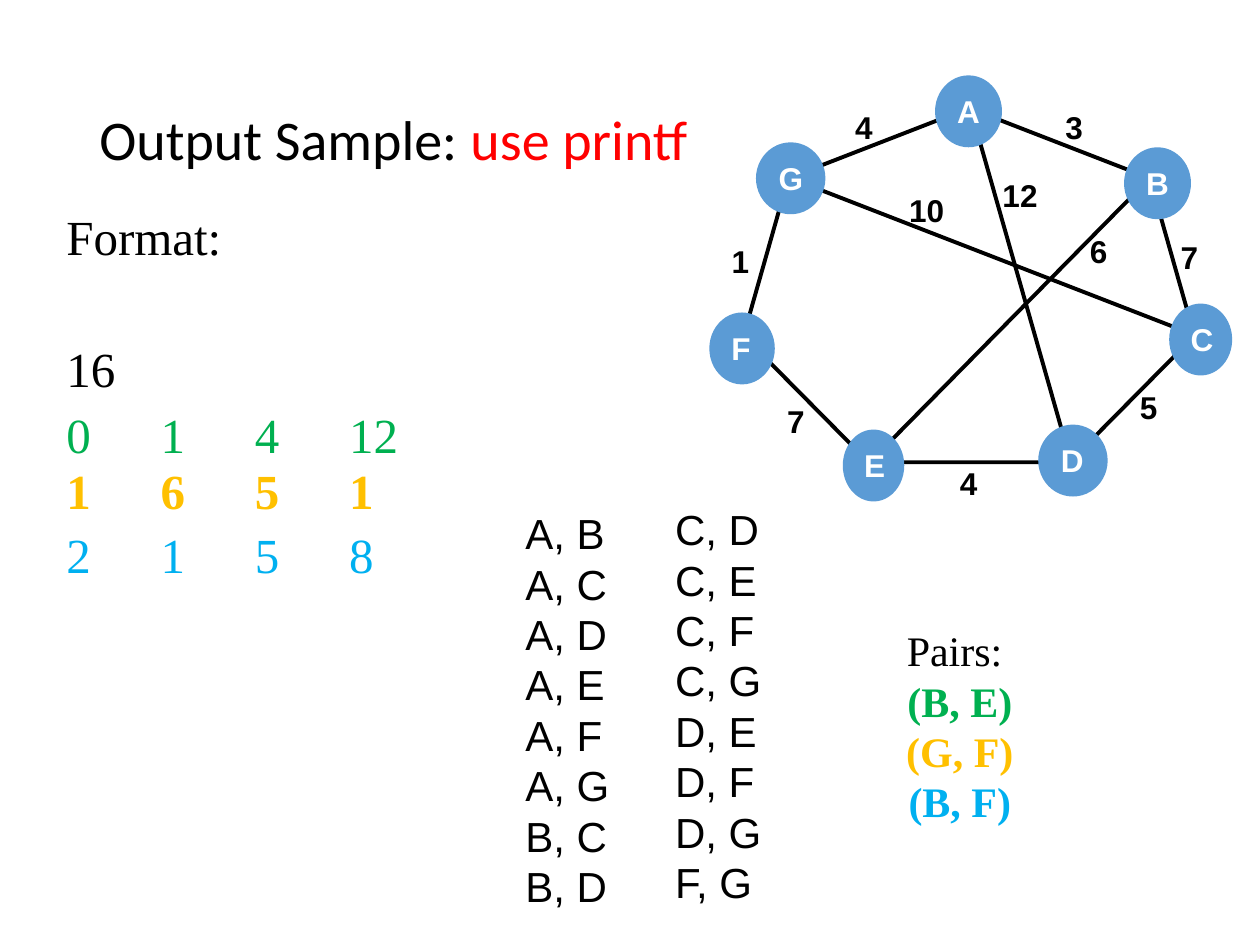
from lxml import etree
from pptx import Presentation
from pptx.dml.color import RGBColor
from pptx.enum.shapes import MSO_CONNECTOR, MSO_SHAPE
from pptx.enum.text import MSO_ANCHOR, PP_ALIGN
from pptx.oxml.ns import qn
from pptx.util import Cm, Pt

LEFT, CENTER = PP_ALIGN.LEFT, PP_ALIGN.CENTER
TOP, MIDDLE = MSO_ANCHOR.TOP, MSO_ANCHOR.MIDDLE
STRAIGHT = MSO_CONNECTOR.STRAIGHT
HEPTAGON, OVAL = MSO_SHAPE.HEPTAGON, MSO_SHAPE.OVAL

BLACK = RGBColor(0x00, 0x00, 0x00)
WHITE = RGBColor(0xFF, 0xFF, 0xFF)
RED = RGBColor(0xFF, 0x00, 0x00)
GREEN = RGBColor(0x00, 0xB0, 0x50)
GOLD = RGBColor(0xFF, 0xC0, 0x00)
SKY = RGBColor(0x00, 0xB0, 0xF0)
BLUE = RGBColor(0x5B, 0x9B, 0xD5)


def add_text(para, text, font="Arial", size=18, color=BLACK, bold=False, align=LEFT):
    para.alignment = align
    span = para.add_run()
    span.text = text
    span.font.name = font
    span.font.size = Pt(size)
    span.font.color.rgb = color
    span.font.bold = bold


def add_box(shapes, left, top, width, height, wrap=True):
    frame = shapes.add_textbox(Cm(left), Cm(top), Cm(width), Cm(height)).text_frame
    frame.word_wrap = wrap
    return frame


deck = Presentation()
deck.slide_width, deck.slide_height = Cm(25.4), Cm(19.05)
page = deck.slides.add_slide(deck.slide_layouts[5])

title = page.shapes.title
title.left, title.top, title.width, title.height = Cm(1.75), Cm(1.02), Cm(21.89), Cm(3.68)
title.text_frame.vertical_anchor = MIDDLE
heading = title.text_frame.paragraphs[0]
heading.line_spacing = 0.9
add_text(heading, "Output Sample: ", font="Calibri", size=32)
add_text(heading, "use printf", font="Calibri", size=32, color=RED)

format_lines = [
    ("Format:", BLACK, False, 0.9, 7.5),
    ("16", BLACK, False, 0.9, 45),
    ("0\t1\t4\t12", GREEN, False, 0.9, 7.5),
    ("1\t6\t5\t1", GOLD, True, 0.7, 7.5),
    ("2\t1\t5\t8", SKY, False, 0.9, 7.5),
]
frame = add_box(page.shapes, 1.09, 4.17, 23.6, 14.88)
for index, (text, color, bold, spacing, before) in enumerate(format_lines):
    para = frame.add_paragraph() if index else frame.paragraphs[0]
    para.line_spacing = spacing
    para.space_before = Pt(before)
    add_text(para, text, font="Times New Roman", size=28, color=color, bold=bold)
    if "\t" in text:
        stops = etree.SubElement(para._p.get_or_add_pPr(), qn("a:tabLst"))
        for column in range(1, 4):
            etree.SubElement(stops, qn("a:tab"), pos=str(Cm(1.9 * column)), algn="l")

graph = page.shapes.add_group_shape().shapes
ring = graph.add_shape(HEPTAGON, Cm(14.99), Cm(2.18), Cm(9.09), Cm(7.14))
ring.shadow.inherit = False
ring.fill.background()
ring.line.color.rgb = BLACK
ring.line.width = Pt(2.25)

chords = [
    (15.9, 3.58, 24.1, 6.76),
    (19.56, 2.18, 21.59, 9.32),
    (17.53, 9.32, 23.19, 3.58),
]
for chord in chords:
    edge = graph.add_connector(STRAIGHT, *[Cm(value) for value in chord])
    edge.line.color.rgb = BLACK
    edge.line.width = Pt(2.25)
    etree.SubElement(edge._element.spPr, qn("a:effectLst"))

weights = [
    ("4", 16.99, 2.06, 1.07),
    ("3", 21.23, 2.06, 1.07),
    ("1", 14.5, 4.75, 1.07),
    ("7", 15.62, 7.98, 1.07),
    ("4", 19.1, 9.22, 1.07),
    ("5", 22.73, 7.7, 1.07),
    ("7", 23.55, 4.67, 1.07),
    ("12", 19.96, 3.43, 1.68),
    ("6", 21.72, 4.55, 1.24),
    ("10", 18.08, 3.73, 2.21),
]
for text, left, top, width in weights:
    frame = add_box(graph, left, top, width, 0.89)
    add_text(frame.paragraphs[0], text, bold=True)

nodes = [
    ("A", 18.85, 1.52, 1.35),
    ("B", 22.66, 2.97, 1.35),
    ("C", 23.57, 6.12, 1.27),
    ("D", 20.93, 8.56, 1.4),
    ("E", 16.99, 8.66, 1.24),
    ("F", 14.3, 6.3, 1.32),
    ("G", 15.24, 2.87, 1.4),
]
for text, left, top, width in nodes:
    node = graph.add_shape(OVAL, Cm(left), Cm(top), Cm(width), Cm(1.45))
    node.shadow.inherit = False
    node.fill.solid()
    node.fill.fore_color.rgb = BLUE
    node.line.fill.background()
    node.text_frame.vertical_anchor = TOP
    add_text(node.text_frame.paragraphs[0], text, color=WHITE, bold=True)

pair_lines = [("Pairs: ", BLACK), ("(B, E)", GREEN), ("(G, F)", GOLD), ("(B, F)", SKY)]
frame = add_box(page.shapes, 16.05, 12.47, 6.6, 5.38)
for index, (text, color) in enumerate(pair_lines):
    para = frame.add_paragraph() if index else frame.paragraphs[0]
    add_text(para, text, font="Times New Roman", size=24, color=color, bold=index > 0, align=CENTER)

pair_lists = [
    (10.34, 10.11, 2.21, ["A, B", "A, C", "A, D", "A, E", "A, F", "A, G", "B, C", "B, D"]),
    (13.36, 10.03, 2.26, ["C, D", "C, E", "C, F", "C, G", "D, E", "D, F", "D, G", "F, G"]),
]
for left, top, width, pairs in pair_lists:
    frame = add_box(page.shapes, left, top, width, 8.46, wrap=False)
    for index, text in enumerate(pairs):
        para = frame.add_paragraph() if index else frame.paragraphs[0]
        add_text(para, text, size=24)

deck.save("out.pptx")
